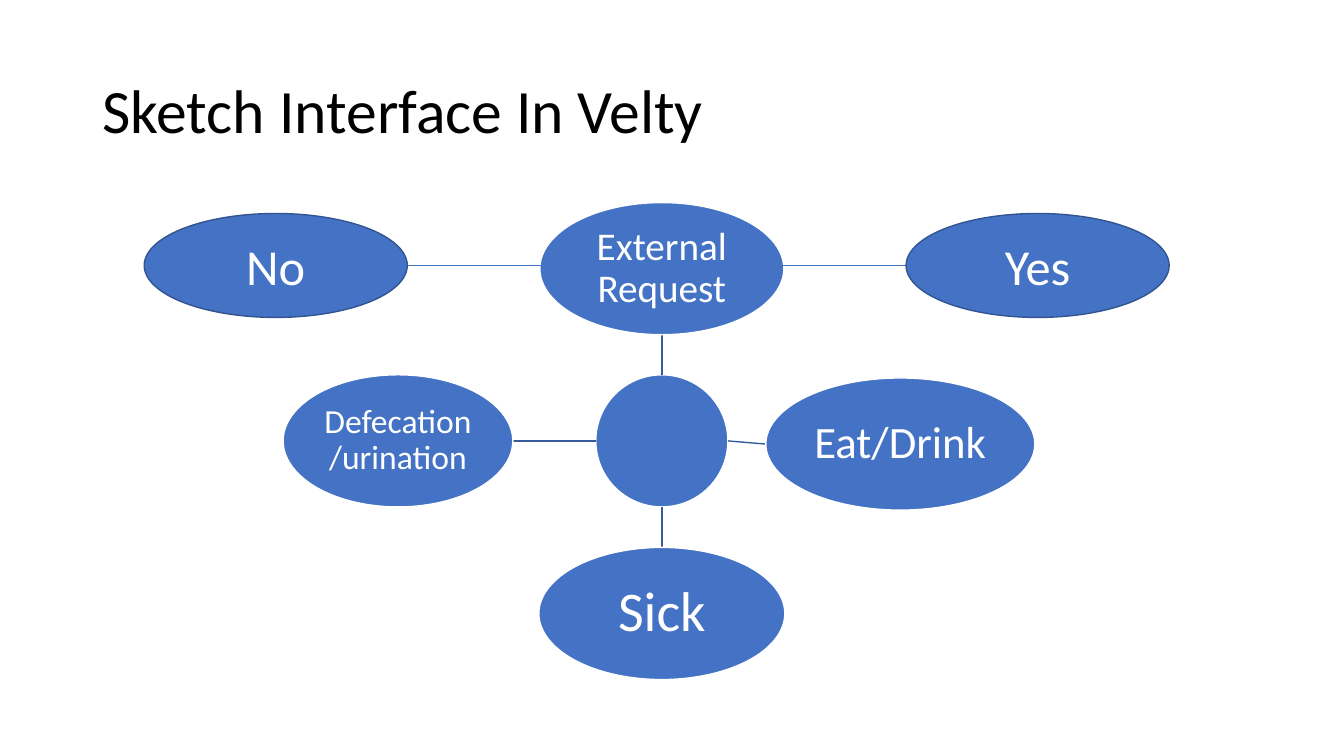
import pptx
import pptx.util
import pptx.dml.color
import pptx.enum.shapes
import pptx.enum.text
import pptx.oxml.ns
import lxml.etree

Cm = pptx.util.Cm
Pt = pptx.util.Pt

THEME = {
    "font": "Calibri",
    "ink": "000000",
    "paper": "FFFFFF",
    "node": "4472C4",
    "spoke": "365B9D",
    "rim": "325491",
    "title_size": 44,
    "answer_size": 36,
}

# Lengths in centimetres
TITLE = ("Sketch Interface In Velty", 2.33, 1.01, 29.21, 3.68)
HUB = (16.68, 11.11)
NODE_HEIGHT = 3.33
# label, centre x, centre y, width, type size, direction from the hub
NODES = [
    ("External Request", 16.68, 6.77, 6.15, 28, (0, -1)),
    ("Defecation/urination", 10.03, 11.11, 5.79, 24, (-1, 0)),
    ("Sick", 16.68, 15.46, 6.2, 40, (0, 1)),
    ("Eat/Drink", 22.69, 11.19, 6.78, 32, (1, 0)),
]
ANSWER_Y, ANSWER_WIDTH, ANSWER_HEIGHT = 6.69, 6.63, 2.62
# label, centre x, link start x, link end x
ANSWERS = [("Yes", 26.15, 19.66, 24.41), ("No", 6.95, 13.64, 9.4)]


def colour(name):
    return pptx.dml.color.RGBColor.from_string(THEME[name])


def write(box, text, size, ink, spacing=1.0, centred=True, inset=None):
    frame = box.text_frame
    frame.word_wrap = True
    frame.vertical_anchor = pptx.enum.text.MSO_ANCHOR.MIDDLE
    if inset is not None:
        frame.margin_left = frame.margin_right = Cm(inset)
        frame.margin_top = frame.margin_bottom = Cm(inset)
    para = frame.paragraphs[0]
    align = pptx.enum.text.PP_ALIGN
    para.alignment = align.CENTER if centred else align.LEFT
    para.line_spacing = spacing
    span = para.add_run()
    span.text = text
    span.font.name = THEME["font"]
    span.font.size = Pt(size)
    span.font.color.rgb = colour(ink)


def add_ellipse(page, x, y, width, height, rim):
    """Draw an ellipse around the centre (x, y)."""
    shape = page.shapes.add_shape(
        pptx.enum.shapes.MSO_SHAPE.OVAL,
        Cm(x - width / 2), Cm(y - height / 2), Cm(width), Cm(height))
    shape.shadow.inherit = False
    shape.fill.solid()
    shape.fill.fore_color.rgb = colour("node")
    shape.line.color.rgb = colour(rim)
    shape.line.width = Pt(1)
    return shape


def add_line(page, start, end, ink, weight):
    line = page.shapes.add_connector(
        pptx.enum.shapes.MSO_CONNECTOR.STRAIGHT,
        Cm(start[0]), Cm(start[1]), Cm(end[0]), Cm(end[1]))
    line.line.color.rgb = colour(ink)
    line.line.width = Pt(weight)
    properties = line._element.spPr
    lxml.etree.SubElement(properties, pptx.oxml.ns.qn("a:effectLst"))


def main():
    deck = pptx.Presentation()
    deck.slide_width, deck.slide_height = Cm(33.87), Cm(19.05)
    page = deck.slides.add_slide(deck.slide_layouts[6])

    text, *place = TITLE
    title = page.shapes.add_textbox(*map(Cm, place))
    write(title, text, THEME["title_size"], "ink", spacing=0.9, centred=False)

    add_ellipse(page, *HUB, NODE_HEIGHT, NODE_HEIGHT, "paper")
    radius = NODE_HEIGHT / 2
    for label, x, y, width, size, (dx, dy) in NODES:
        start = (HUB[0] + dx * radius, HUB[1] + dy * radius)
        end = (x - dx * width / 2, y - dy * radius)
        add_line(page, start, end, "spoke", 1)
        node = add_ellipse(page, x, y, width, NODE_HEIGHT, "paper")
        write(node, label, size, "paper", spacing=0.9, inset=0.05)

    for label, x, start_x, end_x in ANSWERS:
        add_line(page, (start_x, ANSWER_Y), (end_x, ANSWER_Y), "node", 0.5)
        answer = add_ellipse(page, x, ANSWER_Y, ANSWER_WIDTH, ANSWER_HEIGHT, "rim")
        write(answer, label, THEME["answer_size"], "paper")

    deck.save("out.pptx")


if __name__ == "__main__":
    main()
